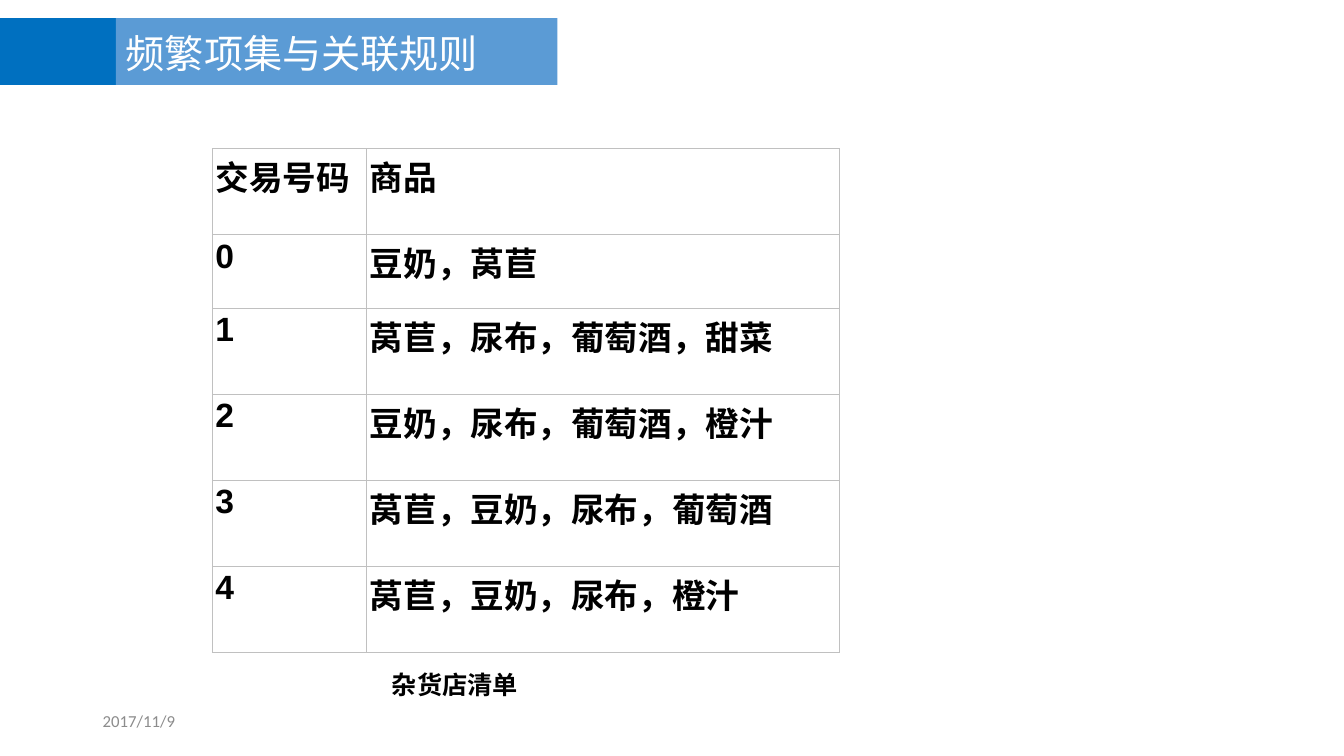
from lxml.etree import SubElement
from pptx import Presentation
from pptx.dml.color import RGBColor
from pptx.enum.shapes import MSO_SHAPE
from pptx.enum.text import MSO_ANCHOR, PP_ALIGN
from pptx.oxml.ns import qn
from pptx.util import Cm, Pt

COLORS = {
    "dark_blue": "0070C0",
    "blue": "5B9BD5",
    "white": "FFFFFF",
    "black": "000000",
    "gray": "8C8C8C",
    "border": "C0C0C0",
}
CJK_FONT = "Noto Sans CJK SC"

TRANSACTIONS = [
    ("交易号码", "商品"),
    ("0", "豆奶，莴苣"),
    ("1", "莴苣，尿布，葡萄酒，甜菜"),
    ("2", "豆奶，尿布，葡萄酒，橙汁"),
    ("3", "莴苣，豆奶，尿布，葡萄酒"),
    ("4", "莴苣，豆奶，尿布，橙汁"),
]
COLUMN_WIDTHS = [3.89, 11.91]
ROW_HEIGHTS = [2.17, 1.85, 2.17, 2.17, 2.17, 2.17]


def paint(fill, color):
    fill.solid()
    fill.fore_color.rgb = RGBColor.from_string(COLORS[color])


def style_paragraph(paragraph, size, color, name="Arial", bold=False):
    font = paragraph.font
    font.size = Pt(size)
    font.bold = bold
    paint(font.fill, color)
    font.name = name
    # East Asian characters take their own typeface
    SubElement(font._element, qn("a:ea"), typeface=CJK_FONT)


def add_bar(page, left, width, color):
    bar = page.shapes.add_shape(
        MSO_SHAPE.RECTANGLE, Cm(left), Cm(0.46), Cm(width), Cm(1.68))
    bar.shadow.inherit = False
    paint(bar.fill, color)
    bar.line.fill.background()


def add_text(page, position, text, size, color, name="Arial", bold=False,
             anchor=MSO_ANCHOR.MIDDLE, align=PP_ALIGN.LEFT):
    box = page.shapes.add_textbox(*map(Cm, position))
    frame = box.text_frame
    frame.word_wrap = True
    frame.vertical_anchor = anchor
    paragraph = frame.paragraphs[0]
    paragraph.text = text
    paragraph.alignment = align
    style_paragraph(paragraph, size, color, name, bold)
    return paragraph


def add_borders(cell):
    properties = cell._tc.get_or_add_tcPr()
    for side in ("lnL", "lnR", "lnT", "lnB"):
        line = SubElement(properties, qn(f"a:{side}"), w=str(Pt(0.6)))
        solid = SubElement(line, qn("a:solidFill"))
        SubElement(solid, qn("a:srgbClr"), val=COLORS["border"])


def fill_cell(cell, text):
    cell.margin_left = cell.margin_right = Cm(0.08)
    cell.margin_top = cell.margin_bottom = Cm(0.08)
    add_borders(cell)
    paint(cell.fill, "white")
    paragraph = cell.text_frame.paragraphs[0]
    paragraph.text = text
    style_paragraph(paragraph, 24, "black", bold=True)


def add_transactions(page, left, top):
    frame = page.shapes.add_table(
        len(TRANSACTIONS), len(COLUMN_WIDTHS), Cm(left), Cm(top),
        Cm(sum(COLUMN_WIDTHS)), Cm(sum(ROW_HEIGHTS)))
    table = frame.table
    table.first_row = table.horz_banding = False
    for column, width in zip(table.columns, COLUMN_WIDTHS):
        column.width = Cm(width)
    for row, height, texts in zip(table.rows, ROW_HEIGHTS, TRANSACTIONS):
        row.height = Cm(height)
        for cell, text in zip(row.cells, texts):
            fill_cell(cell, text)


def main():
    deck = Presentation()
    deck.slide_width, deck.slide_height = Cm(33.87), Cm(19.05)
    page = deck.slides.add_slide(deck.slide_layouts[6])

    # Title band
    add_bar(page, 0, 2.92, "dark_blue")
    add_bar(page, 2.92, 11.13, "blue")
    title = add_text(page, (2.92, 0.58, 18.42, 1.63), "频繁项集与关联规则",
                     28, "white", CJK_FONT)
    title.line_spacing = 0.9

    # Transactions with caption
    add_transactions(page, 5.35, 3.74)
    add_text(page, (7.92, 16.74, 7.09, 1.02), "杂货店清单", 18, "black",
             bold=True, anchor=MSO_ANCHOR.TOP, align=PP_ALIGN.CENTER)

    # Date
    add_text(page, (2.34, 17.65, 7.62, 1.02), "2017/11/9", 12, "gray",
             "Calibri")

    deck.save("out.pptx")


main()
